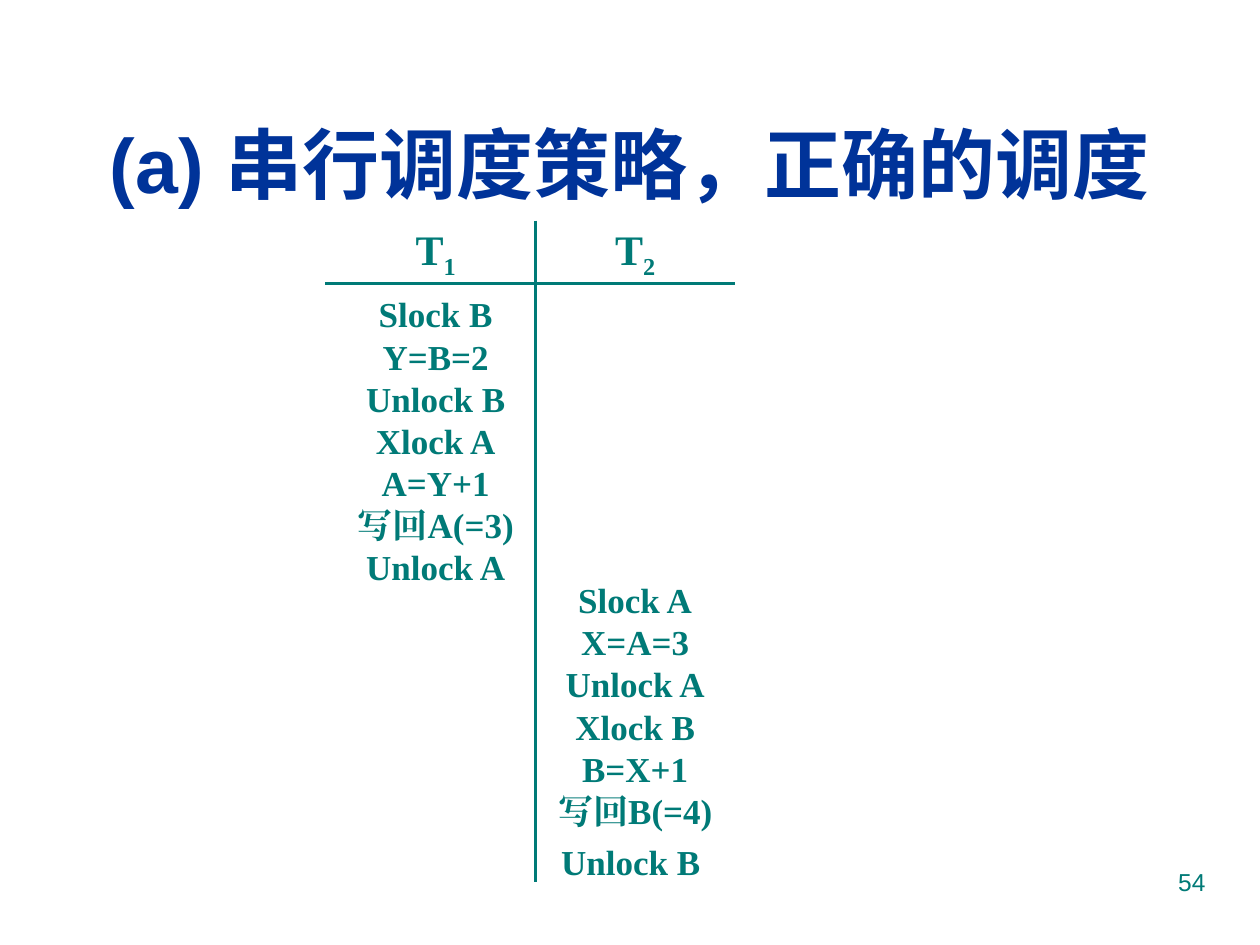
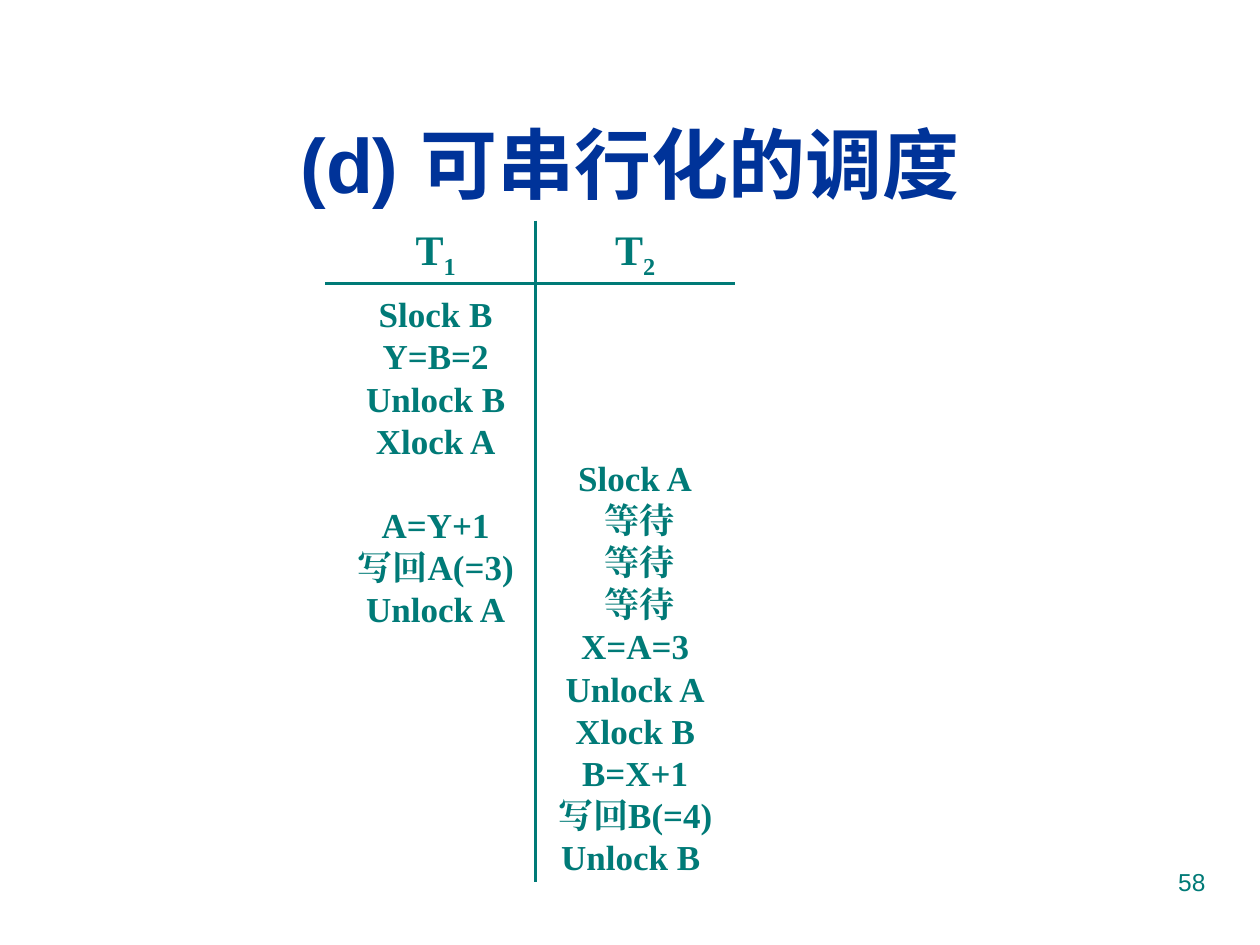
from lxml import etree
from pptx import Presentation
from pptx.dml.color import RGBColor
from pptx.enum.shapes import MSO_CONNECTOR
from pptx.enum.text import MSO_ANCHOR, PP_ALIGN
from pptx.oxml.ns import qn
from pptx.util import Pt

STRAIGHT = MSO_CONNECTOR.STRAIGHT
TOP, MIDDLE = MSO_ANCHOR.TOP, MSO_ANCHOR.MIDDLE
CENTER, RIGHT = PP_ALIGN.CENTER, PP_ALIGN.RIGHT
COLORS = {"title": "003399", "teal": "007A77"}
SANS, SERIF = "Arial", "Times New Roman"

# All lengths in points
TITLE_BOX = (24, 48, 672, 90)
SCHEDULE_BOX = (186, 126, 234, 378)
PAGE_BOX = (516, 492, 180, 37.5)
HEADER_H = 36
COL_W = 114
ROW_H = 24.1
ROWS = 14
INSET = 3.6

# Each column: first row, then blocks of steps with one free row between them
SCHEDULES = [
    {
        "title": "(a) 串行调度策略，正确的调度", "page": "54", "last_gap": 4.8,
        "T1": (0, [["Slock B", "Y=B=2", "Unlock B", "Xlock A", "A=Y+1",
                    "写回A(=3)", "Unlock A"]]),
        "T2": (7, [["Slock A", "X=A=3", "Unlock A", "Xlock B", "B=X+1",
                    "写回B(=4)", "Unlock B "]]),
    },
    {
        "title": "(d) 可串行化的调度", "page": "58", "last_gap": 0,
        "T1": (0, [["Slock B", "Y=B=2", "Unlock B", "Xlock A"],
                   ["A=Y+1", "写回A(=3)", "Unlock A"]]),
        "T2": (4, [["Slock A", " 等待", " 等待", " 等待", "X=A=3", "Unlock A",
                    "Xlock B", "B=X+1", "写回B(=4)", "Unlock B "]]),
    },
]


def style(r, size, font, color, bold=True):
    r.font.size = Pt(size)
    r.font.bold = bold
    r.font.color.rgb = RGBColor.from_string(COLORS[color])
    r.font.name = font
    ea = etree.SubElement(r.font._element, qn("a:ea"))
    ea.set("typeface", font)


def add_text_box(s, x, y, w, h, anchor=TOP, wrap=False):
    tf = s.shapes.add_textbox(Pt(x), Pt(y), Pt(w), Pt(h)).text_frame
    tf.word_wrap = wrap
    tf.vertical_anchor = anchor
    return tf


def add_title(s, box, text):
    sp = s.shapes.title
    sp.left, sp.top, sp.width, sp.height = map(Pt, box)
    tf = sp.text_frame
    tf.text = text
    tf.word_wrap = True
    tf.vertical_anchor = MIDDLE
    tf.paragraphs[0].alignment = CENTER
    style(tf.paragraphs[0].runs[0], 44, SANS, "title")


def add_rule(s, x1, y1, x2, y2):
    line = s.shapes.add_connector(STRAIGHT, Pt(x1), Pt(y1), Pt(x2), Pt(y2))
    line.line.color.rgb = RGBColor.from_string(COLORS["teal"])
    line.line.width = Pt(2.25)
    etree.SubElement(line._element.spPr, qn("a:effectLst"))


def add_header(s, x, y, number):
    p = add_text_box(s, x, y, COL_W, HEADER_H, MIDDLE).paragraphs[0]
    p.alignment = CENTER
    for text in ("T", number):
        r = p.add_run()
        r.text = text
        style(r, 24, SERIF, "teal")
    r.font._element.set("baseline", "-25000")


def add_steps(s, x, y, column, last_gap=0):
    first_row, blocks = column
    steps = [(ROW_H if b and not i else 0, text)
             for b, block in enumerate(blocks) for i, text in enumerate(block)]
    steps[-1] = (steps[-1][0] + last_gap, steps[-1][1])
    height = sum(gap + ROW_H for gap, _ in steps) + 2 * INSET
    tf = add_text_box(s, x, y + first_row * ROW_H - INSET, COL_W, height)
    for i, (gap, text) in enumerate(steps):
        p = tf.add_paragraph() if i else tf.paragraphs[0]
        p.text = text
        p.alignment = CENTER
        p.line_spacing = Pt(ROW_H)
        p.space_before = Pt(gap)
        style(p.runs[0], 20, SERIF, "teal")


def add_schedule(s, box, data):
    x, y, w, h = box
    x1, x2 = x + 6, x + 6 + COL_W
    # Cross rules
    add_rule(s, x, y + HEADER_H, x + w, y + HEADER_H)
    add_rule(s, x2, y, x2, y + h)
    # Column heads
    add_header(s, x1, y, "1")
    add_header(s, x2, y, "2")
    # Steps, with the grid of rows centred below the heads
    gap = data["last_gap"]
    grid_top = y + (HEADER_H + h - ROWS * ROW_H) / 2
    add_steps(s, x1, grid_top + 3, data["T1"])
    add_steps(s, x2, grid_top - gap / 2, data["T2"], gap)


def add_page_number(s, box, text):
    tf = add_text_box(s, *box, wrap=True)
    tf.text = text
    tf.paragraphs[0].alignment = RIGHT
    style(tf.paragraphs[0].runs[0], 14, SANS, "teal", bold=False)


def main():
    prs = Presentation()
    prs.slide_width, prs.slide_height = Pt(720), Pt(540)
    for data in SCHEDULES:
        s = prs.slides.add_slide(prs.slide_layouts[5])
        add_title(s, TITLE_BOX, data["title"])
        add_schedule(s, SCHEDULE_BOX, data)
        add_page_number(s, PAGE_BOX, data["page"])
    prs.save("out.pptx")


if __name__ == "__main__":
    main()
